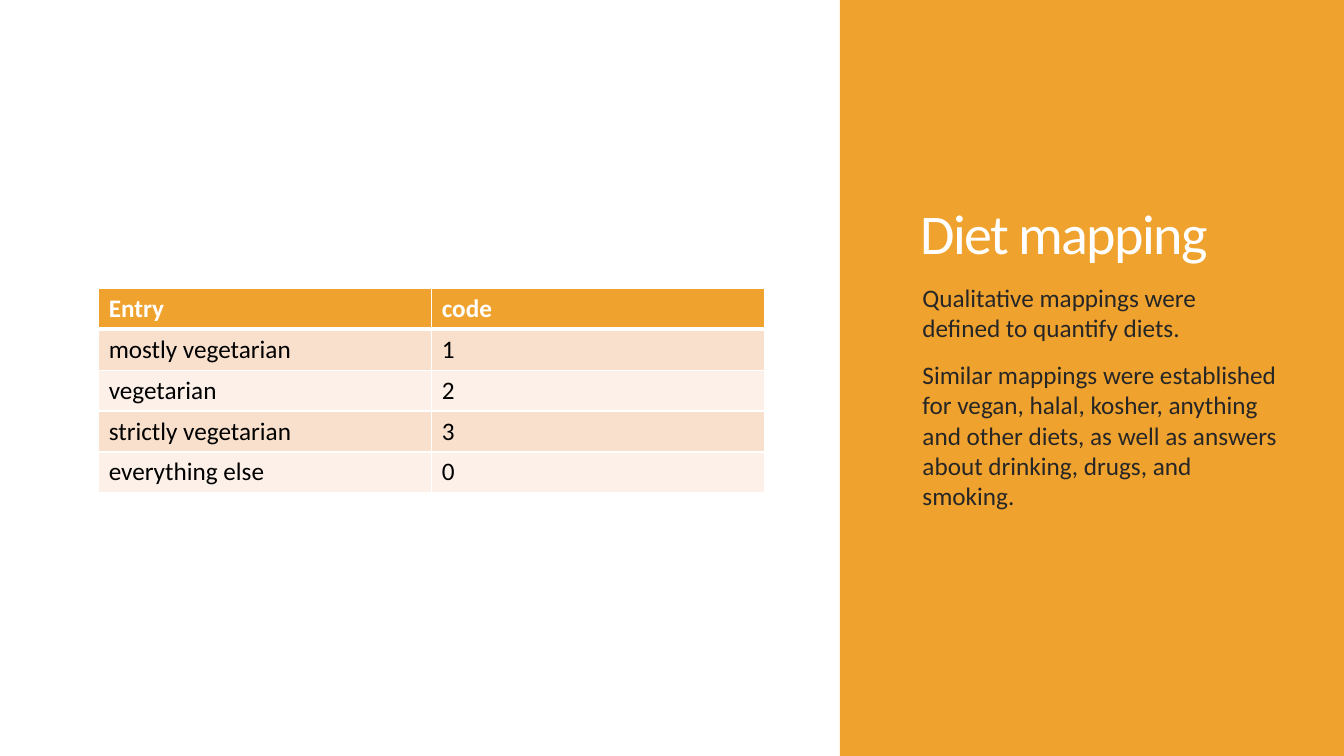
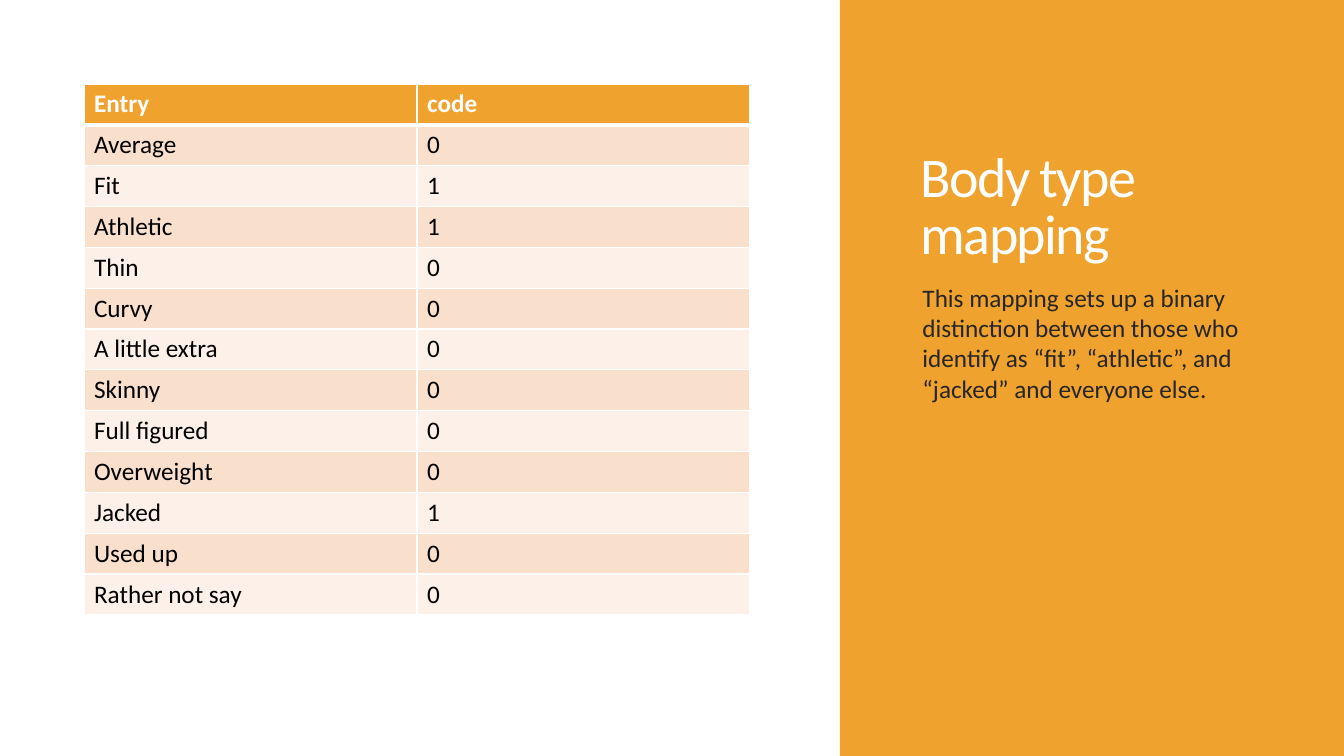
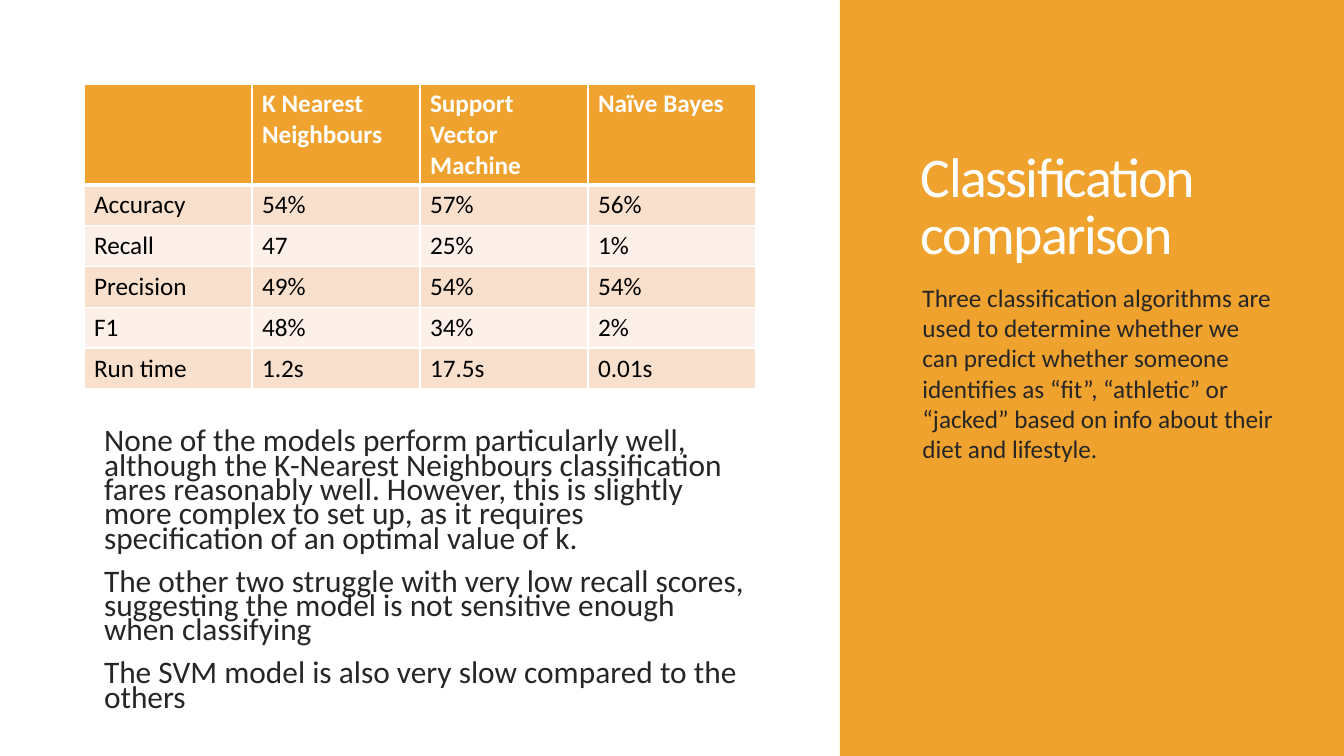
from collections import namedtuple
from lxml.etree import SubElement
from pptx import Presentation
from pptx.dml.color import RGBColor
from pptx.enum.shapes import MSO_SHAPE as Shape
from pptx.enum.text import MSO_ANCHOR as Anchor
from pptx.oxml.ns import qn
from pptx.util import Inches, Pt

Box = namedtuple("Box", "x y w h")
WIDE, HIGH = Inches(13.33), Inches(7.5)
PAGE = Box(0, 0, WIDE, HIGH)

FONT = "Calibri"
GOLD, WHITE, BLACK, INK = "F0A22E", "FFFFFF", "000000", "262626"
BANDS = "F9E0CD", "FCF0E8"

TITLE = dict(size=Pt(40), color=WHITE, line_spacing=0.85)
BODY = dict(size=Pt(18), color=INK, space_before=Pt(12))
NOTE = dict(size=Pt(22.4), color=INK, space_before=Pt(13), line_spacing=0.65)
HEAD = dict(size=Pt(18), color=WHITE, bold=True)
CELL = dict(size=Pt(18), color=BLACK, bold=False)


def tint(code):
    return RGBColor.from_string(code)


def part(box, x, y, w, h):
    """Box inside another, in percent of the outer one."""
    return Box(int(box.x + box.w * x / 100), int(box.y + box.h * y / 100),
               int(box.w * w / 100), int(box.h * h / 100))


LEFT = part(PAGE, 0, 0, 62.5, 100)
PANEL = part(PAGE, 62.5, 0, 37.5, 100)


def style(para, look):
    para.font.name = FONT
    for key, val in look.items():
        if key == "color":
            para.font.color.rgb = tint(val)
        else:
            setattr(para if "spac" in key else para.font, key, val)


def write(frame, lines, look):
    for i, line in enumerate(lines):
        para = frame.add_paragraph() if i else frame.paragraphs[0]
        run = para.add_run()
        run.text = line
        style(para, look)


def text(slide, box, lines, look, anchor=Anchor.TOP):
    frame = slide.shapes.add_textbox(*box).text_frame
    frame.word_wrap = True
    frame.vertical_anchor = anchor
    write(frame, lines, look)
    return frame


def panel(slide, box, title, lines):
    band = slide.shapes.add_shape(Shape.RECTANGLE, *box)
    band.shadow.inherit = False
    band.fill.solid()
    band.fill.fore_color.rgb = tint(GOLD)
    band.line.fill.background()
    frame = text(slide, part(box, 14.1, 7.87, 74, 28), [title], TITLE, Anchor.BOTTOM)
    frame.paragraphs[0].runs[0].font._element.set("spc", "-120")
    text(slide, part(box, 14.4, 36.67, 74.4, 45.6), lines, BODY)


def edge(cell, row):
    """White cell borders, thick between the header and the first row."""
    props = cell._tc.get_or_add_tcPr()
    thick = {"lnB": 0, "lnT": 1}
    for i, side in enumerate(("lnL", "lnR", "lnT", "lnB")):
        width = Pt(3 if thick.get(side) == row else 1)
        line = props.makeelement(qn("a:" + side), {"w": str(width)})
        fill = SubElement(line, qn("a:solidFill"))
        SubElement(fill, qn("a:srgbClr"), val=WHITE)
        props.insert(i, line)


def grid(slide, box, rows):
    table = slide.shapes.add_table(len(rows), len(rows[0]), *box).table
    table.horz_banding = False
    for row in table.rows:
        row.height = box.h // len(rows)
    for r, row in enumerate(rows):
        for c, word in enumerate(row):
            cell = table.cell(r, c)
            cell.fill.solid()
            cell.fill.fore_color.rgb = tint(BANDS[(r - 1) % 2] if r else GOLD)
            edge(cell, r)
            if word:
                write(cell.text_frame, [word], CELL if r else HEAD)


def notes(slide, box, lines):
    frame = text(slide, box, lines, NOTE)
    for para in frame.paragraphs:
        para._p.get_or_add_pPr().set("marL", str(Inches(0.1)))


CODES = ("Entry", "code")
DIET = [CODES, ("mostly vegetarian", "1"), ("vegetarian", "2"),
        ("strictly vegetarian", "3"), ("everything else", "0")]
BUILD = [CODES, ("Average", "0"), ("Fit", "1"), ("Athletic", "1"), ("Thin", "0"),
         ("Curvy", "0"), ("A little extra", "0"), ("Skinny", "0"),
         ("Full figured", "0"), ("Overweight", "0"), ("Jacked", "1"),
         ("Used up", "0"), ("Rather not say", "0")]
SCORES = [("", "K Nearest Neighbours", "Support Vector Machine", "Naïve Bayes"),
          ("Accuracy", "54%", "57%", "56%"),
          ("Recall", "47", "25%", "1%"),
          ("Precision", "49%", "54%", "54%"),
          ("F1", "48%", "34%", "2%"),
          ("Run time", "1.2s", "17.5s", "0.01s")]
SLIDES = [
    ("Diet mapping",
     ["Qualitative mappings were defined to quantify diets.",
      "Similar mappings were established for vegan, halal, kosher, anything and "
      "other diets, as well as answers about drinking, drugs, and smoking."],
     (11.75, 38.13, 79.3, 27.07), DIET, []),
    ("Body type mapping",
     ["This mapping sets up a binary distinction between those who identify as "
      "“fit”, “athletic”, and “jacked” and everyone else."],
     (10, 11.1, 79.3, 70.27), BUILD, []),
    ("Classification comparison",
     ["Three classification algorithms are used to determine whether we can "
      "predict whether someone identifies as “fit”, “athletic” or “jacked” based "
      "on info about their diet and lifestyle."],
     (10, 11.1, 80, 32.4), SCORES,
     ["None of the models perform particularly well, although the K-Nearest "
      "Neighbours classification fares reasonably well. However, this is slightly "
      "more complex to set up, as it requires specification of an optimal value of k.",
      "The other two struggle with very low recall scores, suggesting the model is "
      "not sensitive enough when classifying",
      "The SVM model is also very slow compared to the others"]),
]


def main():
    deck = Presentation()
    deck.slide_width, deck.slide_height = WIDE, HIGH
    for title, lines, place, rows, remarks in SLIDES:
        slide = deck.slides.add_slide(deck.slide_layouts[6])
        panel(slide, PANEL, title, lines)
        grid(slide, part(LEFT, *place), rows)
        if remarks:
            notes(slide, part(LEFT, 10, 56.5, 80, 40.4), remarks)
    deck.save("out.pptx")


if __name__ == "__main__":
    main()
